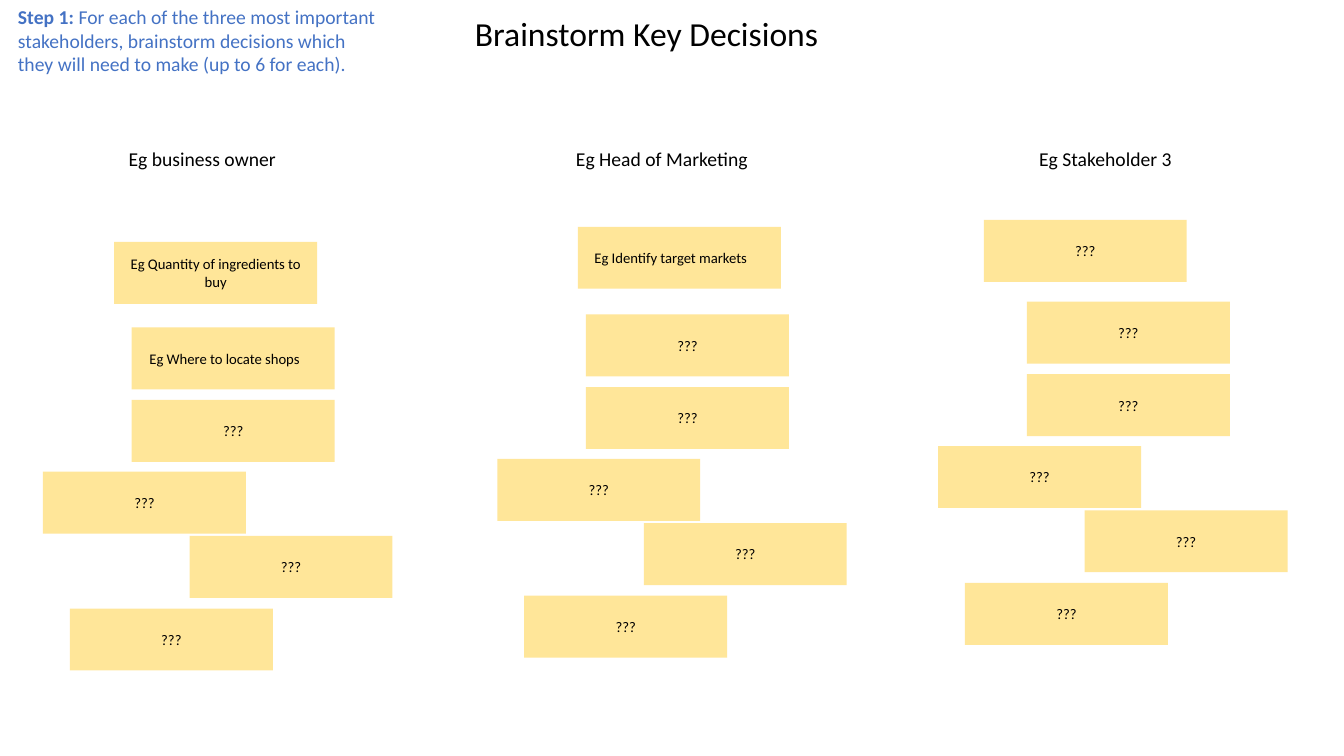
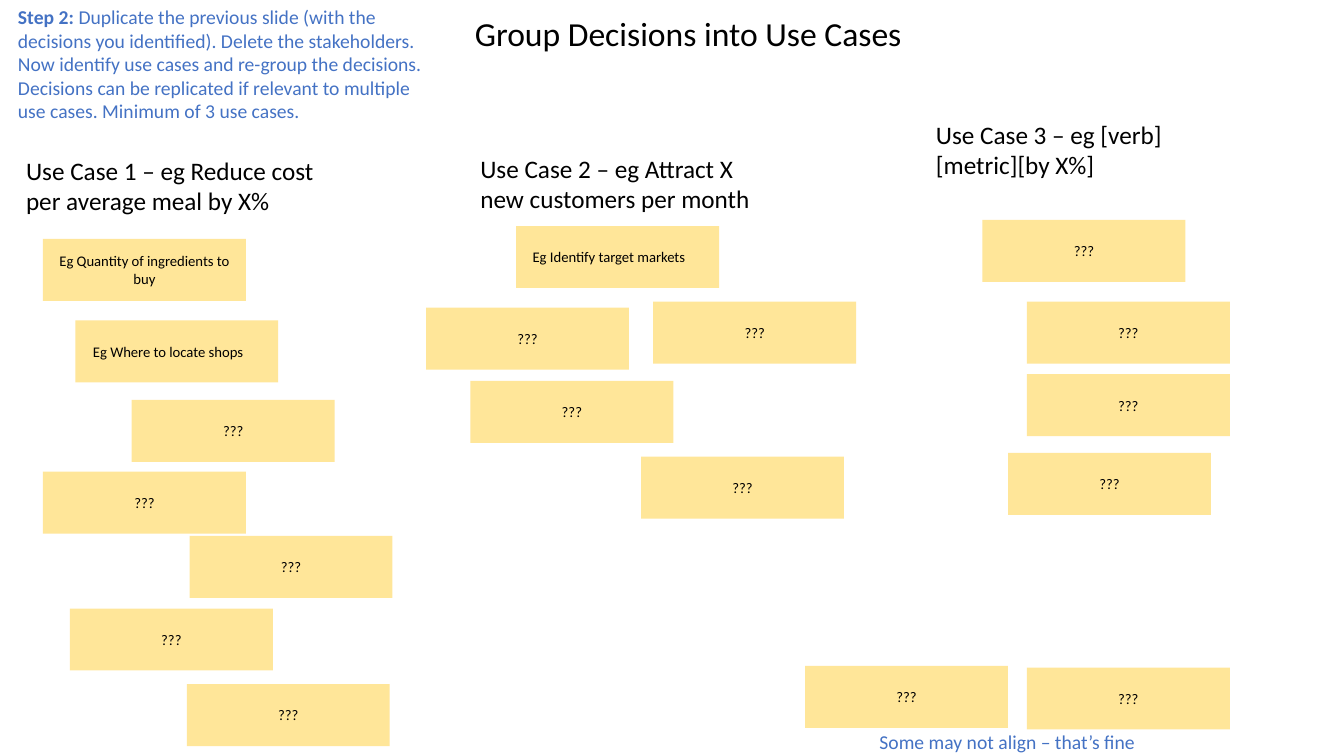
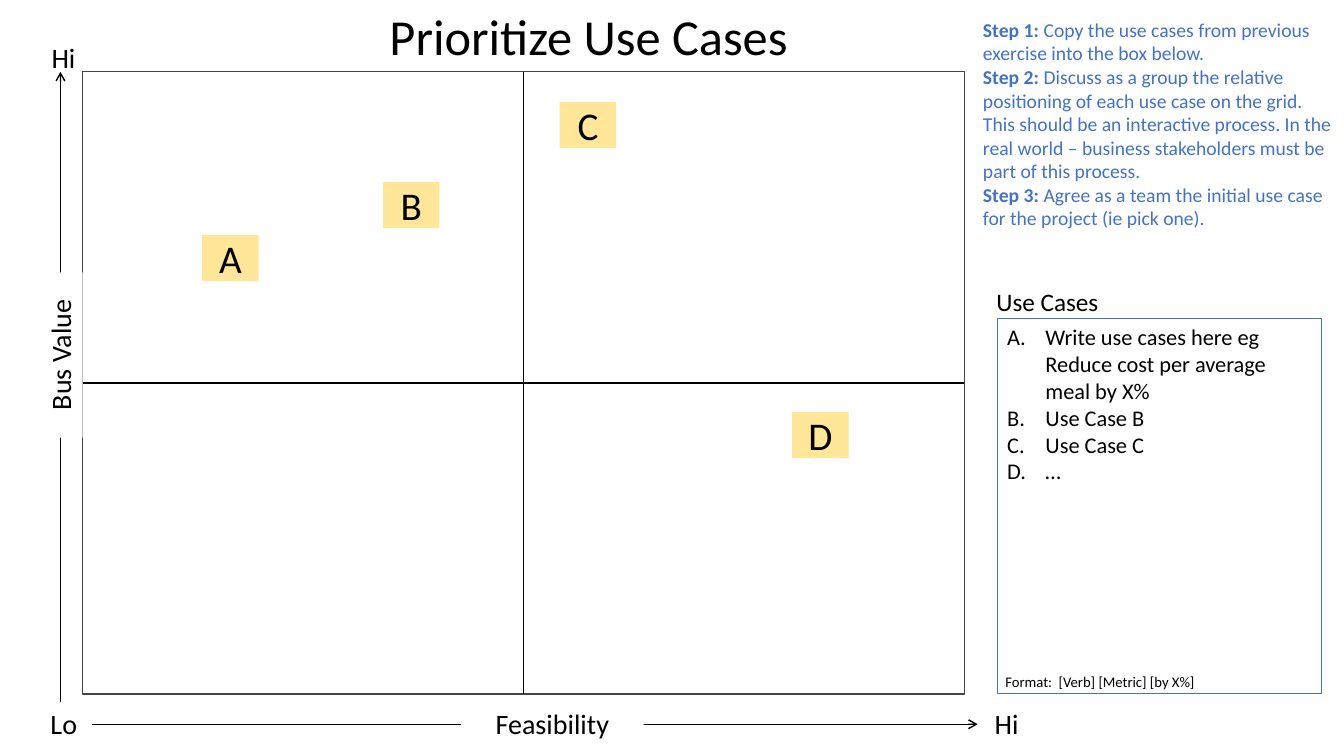
from collections import namedtuple
from dataclasses import dataclass

from lxml.etree import SubElement
from pptx import Presentation
from pptx.dml.color import RGBColor
from pptx.enum.shapes import MSO_CONNECTOR, MSO_SHAPE
from pptx.enum.text import MSO_ANCHOR, PP_ALIGN
from pptx.oxml.ns import qn
from pptx.util import Inches, Pt


@dataclass(frozen=True)
class Theme:
    font: str = "Calibri"
    ink: str = "000000"
    blue: str = "4472C4"
    note: str = "FFE699"
    white: str = "FFFFFF"
    frame: str = "444444"
    small: float = 10.5
    body: int = 14
    item: int = 16
    head: int = 18
    axis: int = 20
    title: int = 24
    chip: int = 28
    hero: int = 36


T = Theme()
LEFT, MID = PP_ALIGN.LEFT, PP_ALIGN.CENTER

# The slide is a grid of 100 columns by 100 rows
WIDE, HIGH = Inches(13.33), Inches(7.5)
Box = namedtuple("Box", "x y w h")
NOTE = (15.1, 8.2)
CHIP = (4.2, 6.1)
LABEL = 5.9


def col(n):
    return round(WIDE * n / 100)


def row(n):
    return round(HIGH * n / 100)


def part(box, dx, dy, w, h):
    """Box of size w by h, offset from the corner of another box."""
    return Box(box.x + dx, box.y + dy, w, h)


def place(box):
    return col(box.x), row(box.y), col(box.w), row(box.h)


# Basic parts
def style(frame, size, ink=T.ink, align=LEFT):
    frame.word_wrap = True
    for para in frame.paragraphs:
        para.alignment = align
        for run in para.runs:
            font = run.font
            font.name, font.size = T.font, Pt(size)
            font.color.rgb = RGBColor.from_string(ink)


def write(slide, box, text, size, ink=T.ink, align=LEFT):
    frame = slide.shapes.add_textbox(*place(box)).text_frame
    frame.text = text
    style(frame, size, ink, align)


def panel(slide, box, fill=None, line=None, width=1):
    shape = slide.shapes.add_shape(MSO_SHAPE.RECTANGLE, *place(box))
    shape.shadow.inherit = False
    if fill:
        shape.fill.solid()
        shape.fill.fore_color.rgb = RGBColor.from_string(fill)
    else:
        shape.fill.background()
    if line:
        shape.line.color.rgb = RGBColor.from_string(line)
        shape.line.width = Pt(width)
    else:
        shape.line.fill.background()
    return shape


def card(slide, box, text, size, fill=T.note, anchor=MSO_ANCHOR.MIDDLE):
    shape = panel(slide, box, fill)
    frame = shape.text_frame
    frame.text = text
    frame.vertical_anchor = anchor
    style(frame, size, align=MID)
    return shape


def rule(slide, x1, y1, x2, y2, arrow=False):
    line = slide.shapes.add_connector(
        MSO_CONNECTOR.STRAIGHT, col(x1), row(y1), col(x2), row(y2))
    line.line.color.rgb = RGBColor.from_string(T.ink)
    line.line.width = Pt(1)
    if arrow:
        SubElement(line.line._get_or_add_ln(), qn("a:tailEnd"), type="arrow")
    SubElement(line._element.spPr, qn("a:effectLst"))
    return line


def steps(slide, box, pairs):
    """Blue instructions, each with a bold lead."""
    frame = slide.shapes.add_textbox(*place(box)).text_frame
    frame.text = "\n".join(lead for lead, _ in pairs)
    for para, (_, rest) in zip(frame.paragraphs, pairs):
        para.runs[0].font.bold = True
        para.add_run().text = rest
    style(frame, T.body, T.blue)


def notes(slide, box, spots, texts):
    """Sticky notes; those without a text of their own show ???."""
    texts = texts + ["???"] * (len(spots) - len(texts))
    for (dx, dy), text in zip(spots, texts):
        shape = card(slide, part(box, dx, dy, *NOTE), text, T.small)
        if text in NUDGED:
            shape.text_frame.margin_right = Inches(0.27)


def board(slide, title, lead, rest, width):
    """Title and step text of a sticky-note slide."""
    write(slide, Box(34.6, 1.1, 45.1, 6.7), title, T.title)
    steps(slide, Box(0.6, 0, width, 10.8), [(lead, rest)])


# Sticky-note wording and positions
BUY = "Eg Quantity of ingredients to buy"
SHOPS = "Eg Where to locate shops"
MARKET = "Eg Identify target markets"
NUDGED = (SHOPS, MARKET)
STAGGER = [(6.6, 0), (6.6, 9.6), (0, 19.1), (10.9, 27.6), (2, 37.2)]
# heading, lane left, heading offset, first note, texts
LANES = [
    ("Eg business owner", 3.2, 2, (5.3, -11.3), [BUY, SHOPS]),
    ("Eg Head of Marketing", 37, 2.4, (6, -11.6), [MARKET]),
    ("Eg Stakeholder 3", 69.8, 2.6, (3.4, -10.8), []),
]
# heading, left, top, notes, texts
CASES = [
    ("Use Case 1 – eg Reduce cost per average meal by X%", 1.2, 19.9,
     [(2, 11.7), (4.4, 22.5), (8.6, 33), (2, 42.5), (12.9, 51),
      (4, 60.6), (12.7, 70.6)], [BUY, SHOPS]),
    ("Use Case 2 – eg Attract X new customers per month", 35, 19.6,
     [(3.4, 10.3), (-3.3, 21.1), (13.6, 20.3), (0, 30.8), (12.7, 40.8)],
     [MARKET]),
    ("Use Case 3 – eg [verb][metric][by X%]", 68.9, 15.1,
     [(4.2, 14), (7.5, 24.8), (7.5, 34.4), (6.1, 44.8)], []),
]
CHIPS = {"A": (8.9, 21.6), "B": (22.35, 14.6), "C": (35.5, 4), "D": (52.8, 45)}


def lane(slide, box, head, shift, first, texts):
    write(slide, Box(box.x + shift, 18.8, 19.7, 4.5), head, T.body, align=MID)
    notes(slide, box, [first] + STAGGER, texts)


def case(slide, box, head, spots, texts):
    write(slide, box, head, T.head)
    notes(slide, box, spots, texts)


def spare(slide, box):
    """Notes that belong to no use case."""
    notes(slide, box, [(0, 0), (16.5, 0.2)], [])
    write(slide, part(box, 4.8, 7.8, 28.4, 4.5),
          "Some may not align – that’s fine", T.body, T.blue)


def matrix(slide, box):
    """Value and feasibility grid with axes and lettered chips."""
    frame = panel(slide, box, line=T.frame)
    midx, midy = box.x + box.w / 2, box.y + box.h / 2
    right, foot = box.x + box.w, box.y + box.h
    across = rule(slide, box.x, midy, right, midy)
    down = rule(slide, midx, box.y, midx, foot)
    for line, start, end in ((across, 1, 3), (down, 0, 2)):
        line.begin_connect(frame, start)
        line.end_connect(frame, end)

    # Axes, each broken by a white label
    base, top = foot + 1, MSO_ANCHOR.TOP
    rule(slide, box.x + 0.7, foot + 4, right + 1, foot + 4, arrow=True)
    card(slide, Box(34.3, base, 13.6, LABEL), "Feasibility", T.axis,
         T.white, top)
    rule(slide, box.x - 1.65, base, box.x - 1.65, box.y, arrow=True)
    value = card(slide, part(box, -7.8, 34.5, 12.3, LABEL), "Bus Value",
                 T.axis, T.white, top)
    value.rotation = 270
    for text, dx, y, w in (("Lo", -5.55, base, 8.3), ("Hi", 65.1, base, 7.3),
                           ("Hi", -3.6, box.y - 4.8, 4.35)):
        write(slide, Box(box.x + dx, y, w, LABEL), text, T.axis, align=MID)

    for text, (dx, dy) in CHIPS.items():
        card(slide, part(box, dx, dy, *CHIP), text, T.chip)


def listing(slide, box, items):
    """Lettered list of use cases in a blue frame."""
    frame = panel(slide, box, line=T.blue, width=0.75).text_frame
    frame.text = "\n".join(items)
    frame.vertical_anchor = MSO_ANCHOR.TOP
    style(frame, T.item)
    for para in frame.paragraphs:
        props = para._p.get_or_add_pPr()
        props.set("marL", str(Inches(0.38)))
        props.set("indent", str(-Inches(0.38)))
        SubElement(props, qn("a:buFont"), typeface="+mj-lt")
        SubElement(props, qn("a:buAutoNum"), type="alphaUcPeriod")
    write(slide, part(box, -0.8, -4.9, 19.5, 5.3), "Use Cases", T.head)
    write(slide, part(box, -1.45, 46.3, 18.2, 3.7),
          "Format:  [Verb] [Metric] [by X%]", T.small, align=MID)


# Slides
def decide(slide):
    board(slide, "Brainstorm Key Decisions", "Step 1: ",
          "For each of the three most important stakeholders, brainstorm "
          "decisions which they will need to make (up to 6 for each).", 28.4)
    for i, (head, x, shift, first, texts) in enumerate(LANES):
        lane(slide, Box(x, 43.3 - 1.7 * i, 26, 45.4), head, shift, first, texts)


def group(slide):
    board(slide, "Group Decisions into Use Cases", "Step 2: ",
          "Duplicate the previous slide (with the decisions you identified). "
          "Delete the stakeholders. Now identify use cases and re-group the "
          "decisions. Decisions can be replicated if relevant to multiple "
          "use cases. Minimum of 3 use cases.", 32.1)
    for head, x, y, spots, texts in CASES:
        case(slide, Box(x, y, 23.6, 9.5), head, spots, texts)
    spare(slide, Box(59.9, 88.1, 33.2, 12))


def rank(slide):
    write(slide, Box(19.9, 0, 47.8, 9.5), "Prioritize Use Cases", T.hero,
          align=MID)
    matrix(slide, Box(6.15, 9.5, 65.6, 82.3))
    listing(slide, Box(74.2, 42.1, 24.1, 49.6), [
        "Write use cases here eg Reduce cost per average meal by X%",
        "Use Case B", "Use Case C", "…"])
    steps(slide, Box(72.4, 1.7, 27.5, 29.6), [
        ("Step 1:",
         " Copy the use cases from previous exercise into the box below."),
        ("Step 2: ",
         "Discuss as a group the relative positioning of each use case on "
         "the grid. This should be an interactive process. In the real world "
         "– business stakeholders must be part of this process."),
        ("Step 3:",
         " Agree as a team the initial use case for the project "
         "(ie pick one)."),
    ])


def main():
    deck = Presentation()
    deck.slide_width, deck.slide_height = WIDE, HIGH
    for build in (decide, group, rank):
        build(deck.slides.add_slide(deck.slide_layouts[6]))
    deck.save("out.pptx")


if __name__ == "__main__":
    main()
